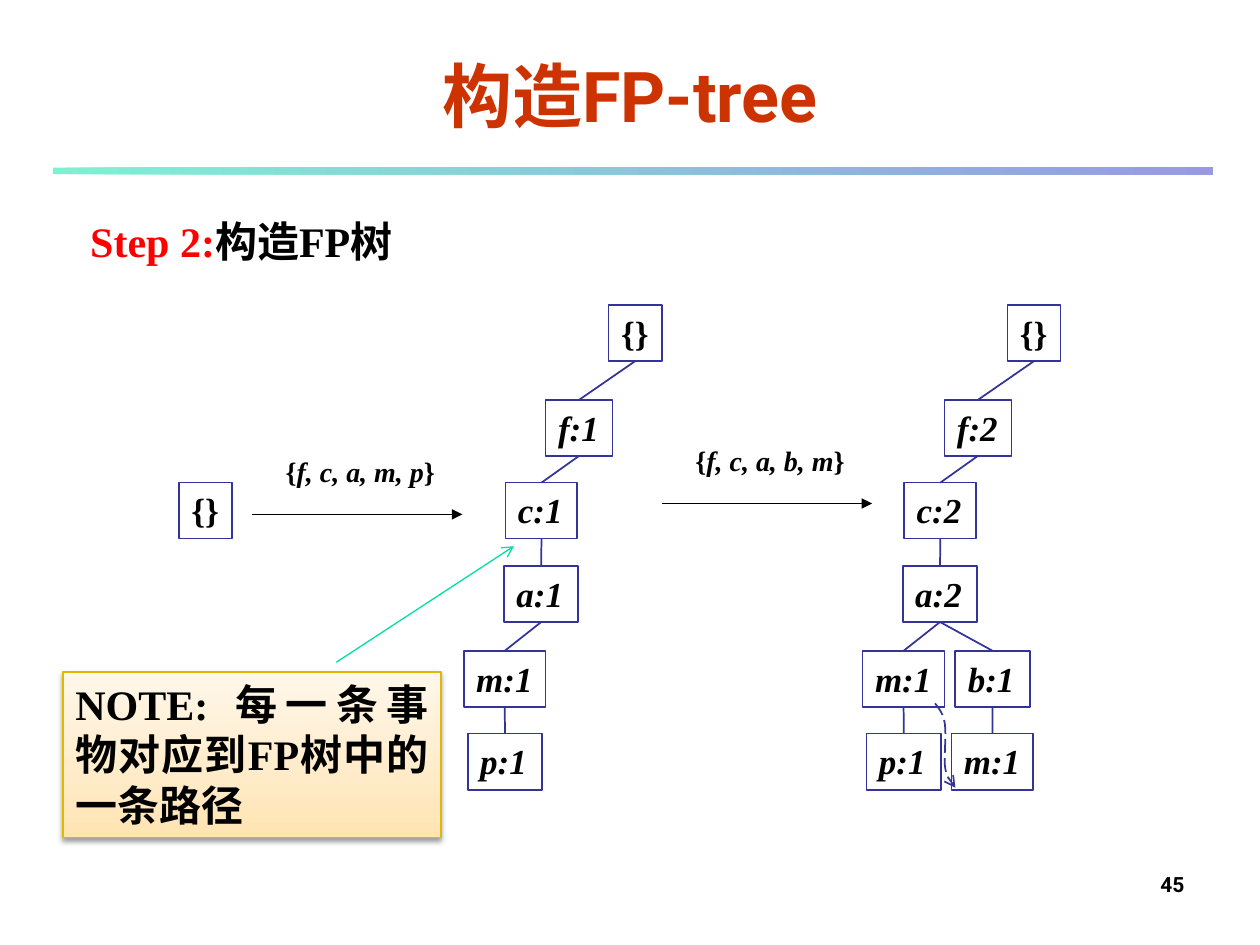
from lxml.etree import SubElement
from pptx import Presentation
from pptx.dml.color import RGBColor
from pptx.enum.dml import MSO_LINE_DASH_STYLE as Dash
from pptx.enum.shapes import MSO_CONNECTOR as Link, MSO_SHAPE as Shape
from pptx.enum.text import MSO_ANCHOR as Anchor, MSO_AUTO_SIZE as AutoSize, PP_ALIGN as Align
from pptx.oxml import parse_xml
from pptx.oxml.ns import nsdecls, qn
from pptx.util import Cm, Pt

COLORS = {
    "text": "000000", "title": "CC3300", "step": "FF0000", "tree": "333399",
    "pointer": "00DFA4", "note_line": "E3B700",
    "rule_start": "00E4A8", "rule_end": "3333CC",
    "note_low": "FFE4B1", "note_mid": "FFEBC8", "note_high": "FFF7EA",
}
SERIF, SANS = "Times New Roman", "Roboto"
NODE_HEIGHT = 1.13
NODE_WIDTHS = {"{": 1.07, "f": 1.35, "c": 1.45, "a": 1.5, "b": 1.5, "p": 1.5, "m": 1.65}

# Node key: left and top inside the tree, in cm
PLACES = {
    "root": (2.92, 0), "f": (1.65, 1.91), "c": (0.84, 3.58), "a": (0.81, 5.26),
    "m": (0, 6.97), "p": (0.08, 8.64), "b": (1.87, 6.97), "bm": (1.79, 8.64),
}
PARENTS = {"f": "root", "c": "f", "a": "c", "m": "a", "p": "m", "b": "a", "bm": "b"}


def color(name):
    return RGBColor.from_string(COLORS[name])


def add_span(para, text, size, tint="text", font=SERIF, italic=False):
    span = para.add_run()
    span.text = text
    span.font.name, span.font.size = font, Pt(size)
    span.font.bold, span.font.italic = True, italic
    span.font.color.rgb = color(tint)


def add_label(page, left, top, width, height, spans, align=Align.LEFT,
              anchor=Anchor.TOP, wrap=True):
    """Text box; every span is a tuple of add_span arguments."""
    box = page.shapes.add_textbox(Cm(left), Cm(top), Cm(width), Cm(height))
    frame = box.text_frame
    frame.word_wrap, frame.vertical_anchor = wrap, anchor
    para = frame.paragraphs[0]
    para.alignment = align
    for span in spans:
        add_span(para, *span)


def add_rect(page, left, top, width, height):
    box = page.shapes.add_shape(Shape.RECTANGLE, Cm(left), Cm(top), Cm(width), Cm(height))
    box.shadow.inherit = False
    box.fill.background()
    box.line.fill.background()
    return box


def set_gradient(box, stops, angle):
    """Stops are (percent, color name, opacity percent)."""
    marks = "".join(
        f'<a:gs pos="{pos * 1000}"><a:srgbClr val="{COLORS[name]}">'
        f'<a:alpha val="{opacity * 1000}"/></a:srgbClr></a:gs>'
        for pos, name, opacity in stops)
    gradient = parse_xml(
        f'<a:gradFill {nsdecls("a")} rotWithShape="1"><a:gsLst>{marks}</a:gsLst>'
        f'<a:lin ang="{angle * 60000}" scaled="0"/></a:gradFill>')
    props = box._element.spPr
    props.replace(props.find(qn("a:noFill")), gradient)


def set_line(item, tint, width, arrow=None):
    item.line.color.rgb, item.line.width = color(tint), Pt(width)
    if arrow:
        SubElement(item.line._get_or_add_ln(), qn("a:tailEnd"), type=arrow)


def add_line(page, start, end, tint, width, arrow=None):
    line = page.shapes.add_connector(Link.STRAIGHT, *map(Cm, start + end))
    set_line(line, tint, width, arrow)
    SubElement(line._element.spPr, qn("a:effectLst"))
    return line


def add_node(page, left, top, text):
    node = add_rect(page, left, top, NODE_WIDTHS[text[0]], NODE_HEIGHT)
    set_line(node, "tree", 1)
    frame = node.text_frame
    frame.word_wrap, frame.auto_size = False, AutoSize.SHAPE_TO_FIT_TEXT
    frame.vertical_anchor = Anchor.TOP
    para = frame.paragraphs[0]
    para.alignment = Align.LEFT
    add_span(para, text, 20, italic=text != "{}")
    return node


def add_tree(page, left, top, labels):
    nodes = {}
    for key, text in labels.items():
        dx, dy = PLACES[key]
        nodes[key] = add_node(page, left + dx, top + dy, text)
    for key in labels:
        if key in PARENTS:
            edge = add_line(page, (0, 0), (1, 1), "tree", 1)
            edge.begin_connect(nodes[PARENTS[key]], 2)
            edge.end_connect(nodes[key], 0)


def add_insertion(page, left, top, items):
    """Transaction label above a left-to-right arrow."""
    add_label(page, left + 0.43, top, 3.55, 0.94, [
        ("{", 16), (items, 16, "text", SERIF, True), ("}", 16)], wrap=False)
    add_line(page, (left, top + 1.33), (left + 4.24, top + 1.33), "text", 0.75, "triangle")


def add_branch_path(page, left, top):
    """Dashed curve from the shared node down to the new branch."""
    curves = [
        ((0, 0), (0.08, 0.1), (0.18, 0.23), (0.2, 0.43)),
        ((0.2, 0.43), (0.23, 0.63), (0.18, 1.07), (0.2, 1.27)),
        ((0.2, 1.27), (0.23, 1.5), (0.33, 1.6), (0.41, 1.7)),
    ]
    points = []
    for curve in curves:
        for step in range(1, 9):
            t = step / 8
            weights = ((1 - t) ** 3, 3 * t * (1 - t) ** 2, 3 * t * t * (1 - t), t ** 3)
            x, y = (sum(w * p[axis] for w, p in zip(weights, curve)) for axis in (0, 1))
            points.append((Cm(left + x), Cm(top + y)))
    builder = page.shapes.build_freeform(Cm(left), Cm(top))
    builder.add_line_segments(points, close=False)
    path = builder.convert_to_shape()
    path.shadow.inherit = False
    path.fill.background()
    path.line.dash_style = Dash.LONG_DASH
    set_line(path, "tree", 1, "arrow")


def add_header(page, left, top, width):
    rule = add_rect(page, left + 1.07, top + 2.95, 23.37, 0.13)
    set_gradient(rule, [(0, "rule_start", 50), (100, "rule_end", 50)], 0)
    add_label(page, left, top, width, 2.97, [("构造FP-tree", 40, "title", SANS)],
              Align.CENTER, Anchor.MIDDLE)


def add_note(page, left, top, width, height):
    note = add_rect(page, left, top, width, height)
    set_gradient(note, [(0, "note_low", 100), (35, "note_mid", 100),
                        (100, "note_high", 100)], 270)
    set_line(note, "note_line", 0.75)
    effects = note._element.spPr.find(qn("a:effectLst"))
    effects.append(parse_xml(
        f'<a:outerShdw {nsdecls("a")} blurRad="{Pt(3.1)}" dist="{Pt(1.6)}" dir="5400000" '
        'rotWithShape="0"><a:srgbClr val="000000"><a:alpha val="38000"/></a:srgbClr>'
        '</a:outerShdw>'))
    frame = note.text_frame
    frame.word_wrap, frame.vertical_anchor = True, Anchor.TOP
    para = frame.paragraphs[0]
    para.alignment = Align.JUSTIFY
    add_span(para, "NOTE: 每一条事物对应到FP树中的一条路径", 24)
    # Pointer to the tree
    add_line(page, (left + 5.51, top - 0.2), (left + 9.09, top - 2.54),
             "pointer", 0.75, "arrow")


def main():
    deck = Presentation()
    deck.slide_width, deck.slide_height = Cm(25.4), Cm(19.05)
    page = deck.slides.add_slide(deck.slide_layouts[6])

    # Title, step and page number
    add_header(page, 0, 0.43, 25.4)
    add_label(page, 1.57, 4.22, 6.68, 1.3, [("Step 2:", 24, "step"), ("构造FP树", 24)])
    add_label(page, 18.85, 16.94, 5.28, 1.27, [("45", 12, "text", SANS)],
              Align.RIGHT, Anchor.BOTTOM)

    # Tree growth, from the empty root to two transactions
    add_node(page, 3.61, 9.73, "{}")
    add_insertion(page, 5.08, 9.04, "f, c, a, m, p")
    add_tree(page, 9.35, 6.15, {"root": "{}", "f": "f:1", "c": "c:1", "a": "a:1",
                                "m": "m:1", "p": "p:1"})
    add_insertion(page, 13.34, 8.82, "f, c, a, b, m")
    add_tree(page, 17.39, 6.15, {"root": "{}", "f": "f:2", "c": "c:2", "a": "a:2",
                                 "m": "m:1", "p": "p:1", "b": "b:1", "bm": "m:1"})
    add_branch_path(page, 18.85, 14.18)

    # Explanation
    add_note(page, 1.27, 13.55, 7.62, 3.33)
    deck.save("out.pptx")


if __name__ == "__main__":
    main()
